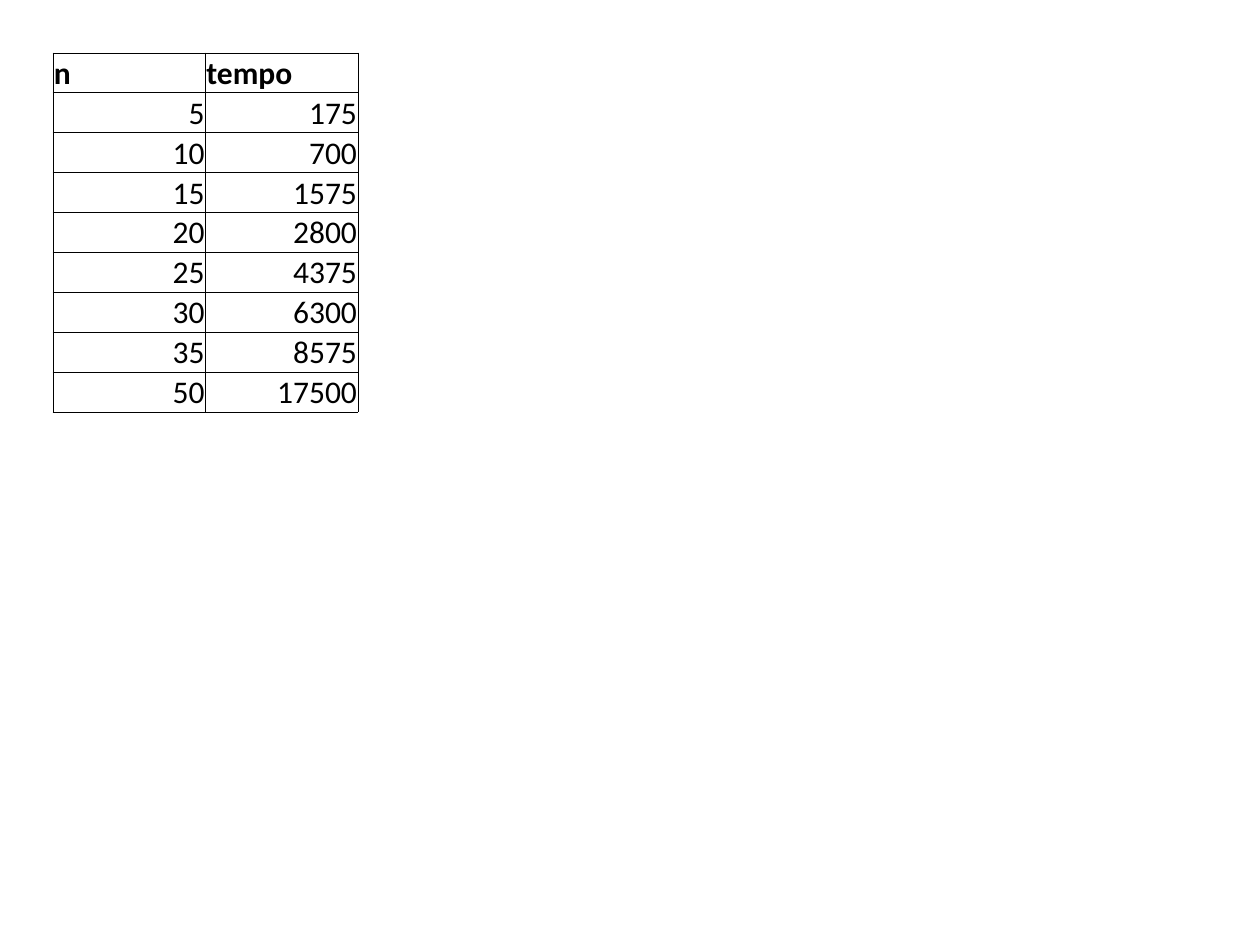
import lxml.etree
import pptx
import pptx.dml.color
import pptx.enum.text
import pptx.oxml.ns
import pptx.util

PX = 914400 / 126
FONT = "Calibri"
BLACK = "000000"
WHITE = "FFFFFF"

HEADINGS = ("n", "tempo")
TIMINGS = (
    (5, 175),
    (10, 700),
    (15, 1575),
    (20, 2800),
    (25, 4375),
    (30, 6300),
    (35, 8575),
    (50, 17500),
)


def px(length):
    return pptx.util.Emu(round(length * PX))


def color(hex_string):
    return pptx.dml.color.RGBColor.from_string(hex_string)


def write(frame, text, size=18, bold=False, ink=BLACK, align="LEFT"):
    paragraph = frame.paragraphs[0]
    paragraph.alignment = getattr(pptx.enum.text.PP_ALIGN, align)
    run = paragraph.add_run()
    run.text = text
    run.font.name = FONT
    run.font.size = pptx.util.Pt(size)
    run.font.bold = bold
    run.font.color.rgb = color(ink)


def outline(cell, ink=BLACK, points=0.5):
    """Draw a solid line on all four sides of a table cell."""
    properties = cell._tc.get_or_add_tcPr()
    qn = pptx.oxml.ns.qn
    for side in ("lnL", "lnR", "lnT", "lnB"):
        line = lxml.etree.SubElement(
            properties, qn(f"a:{side}"), w=str(pptx.util.Pt(points))
        )
        solid = lxml.etree.SubElement(line, qn("a:solidFill"))
        lxml.etree.SubElement(solid, qn("a:srgbClr"), val=ink)


def timing_table(slide, left, top, width, height):
    rows = (HEADINGS, *TIMINGS)
    table = slide.shapes.add_table(
        len(rows), len(HEADINGS), px(left), px(top), px(width), px(height)
    ).table
    table.first_row = table.horz_banding = False
    for column in table.columns:
        column.width = px(width / len(HEADINGS))
    for row_index, values in enumerate(rows):
        table.rows[row_index].height = px(height / len(rows))
        is_heading = row_index == 0
        for column_index, value in enumerate(values):
            cell = table.cell(row_index, column_index)
            outline(cell)
            cell.fill.solid()
            cell.fill.fore_color.rgb = color(WHITE)
            cell.margin_left = cell.margin_right = cell.margin_top = px(1)
            cell.margin_bottom = 0
            cell.vertical_anchor = pptx.enum.text.MSO_ANCHOR.BOTTOM
            write(
                cell.text_frame,
                str(value),
                bold=is_heading,
                align="LEFT" if is_heading else "RIGHT",
            )


def main():
    deck = pptx.Presentation()
    deck.slide_width, deck.slide_height = px(1260), px(945)
    slide = deck.slides.add_slide(deck.slide_layouts[6])
    timing_table(slide, left=53, top=53, width=305, height=359)
    deck.save("out.pptx")


if __name__ == "__main__":
    main()
